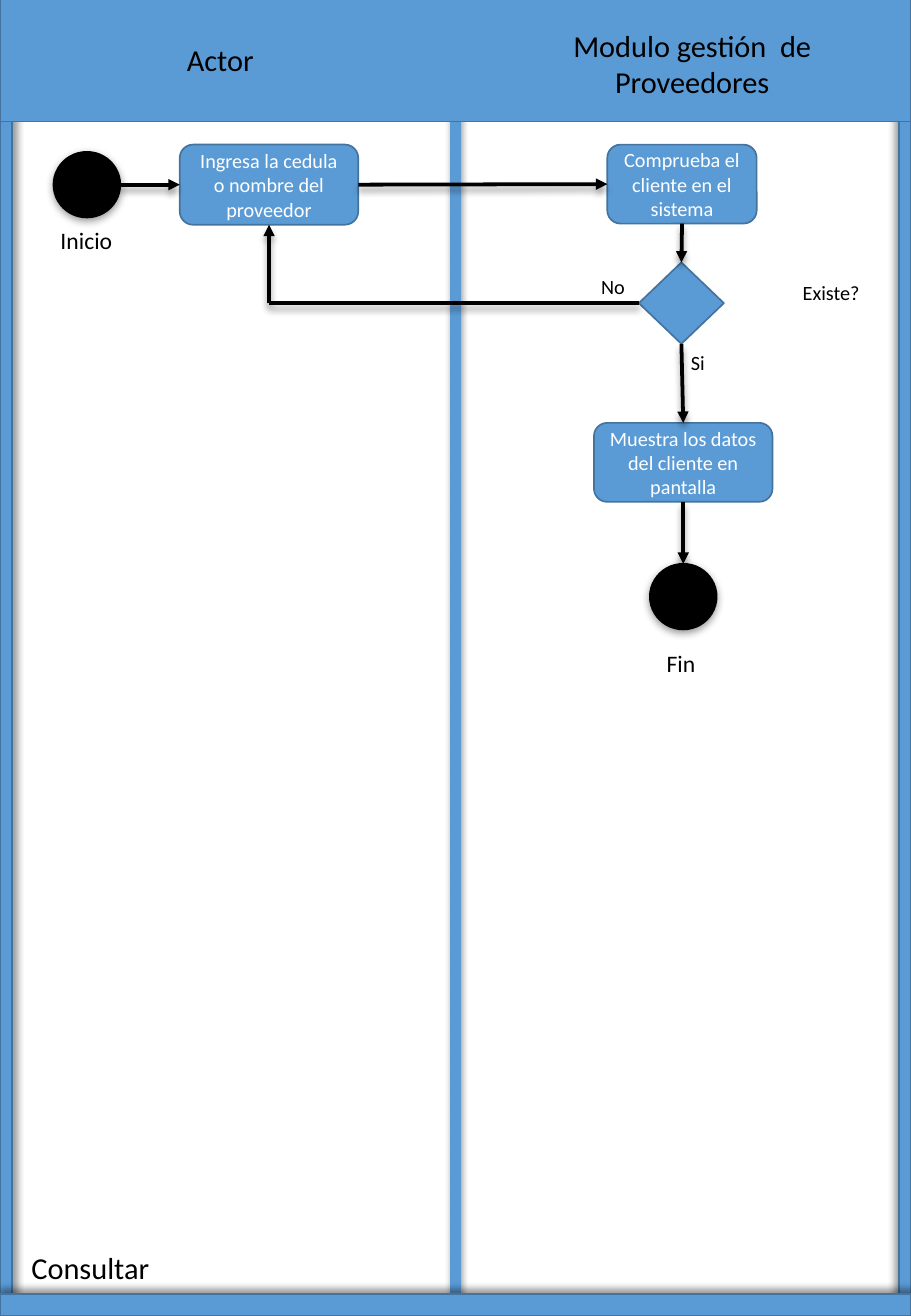
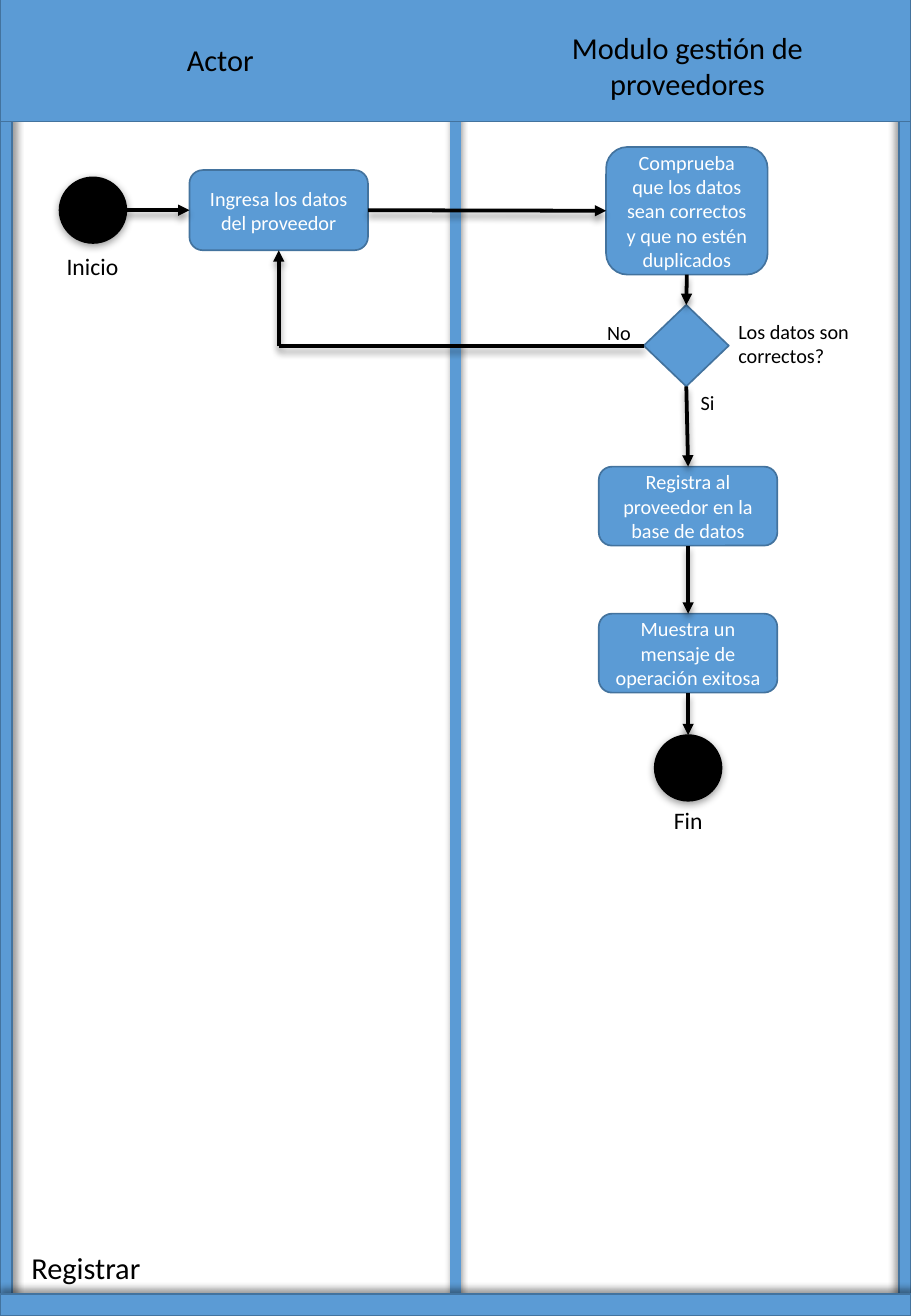
from dataclasses import dataclass
from itertools import pairwise
from typing import Any, NamedTuple, Optional

from lxml import etree
from pptx import Presentation
from pptx import util as u
from pptx.dml import color
from pptx.enum import shapes, text
from pptx.oxml import ns


# Look shared by both slides
@dataclass(frozen=True)
class Theme:
    font: str = "Calibri"
    blue: str = "5B9BD5"
    outline: str = "43739E"
    black: str = "000000"
    white: str = "FFFFFF"
    heading: float = 18
    terminal: float = 14
    body: float = 12
    thin: float = 1
    flow_line: float = 2.25
    divider: float = 6


THEME = Theme()
WIDTH, HEIGHT = 7.5, 10.83
TERMINAL_W, TERMINAL_H = 0.55, 0.54
DECISION_W, DECISION_H = 0.7, 0.67
STEP_W, STEP_H = 1.47, 0.65
ENTRY_H = 0.66
TOP, LEFT, BOTTOM, RIGHT = range(4)  # connection sites


class Box(NamedTuple):
    left: float
    top: float
    width: float
    height: float


class Port(NamedTuple):
    x: int
    y: int
    shape: Optional[Any] = None
    site: int = TOP


class Label(NamedTuple):
    words: str
    box: Box


class Band(NamedTuple):
    box: Box
    shadow_angle: Optional[int]


@dataclass(frozen=True)
class Flow:
    module: Label
    start_left: float
    entry: Label
    check: Label
    decision_left: float
    decision_top: float
    question: Label
    no: Label
    yes: Label
    steps_left: float
    steps: tuple[tuple[str, float], ...]  # words and top
    end_top: float
    end: Label
    name: Label


BANDS = (
    Band(Box(0, 0, 0.1, HEIGHT), 45),
    Band(Box(WIDTH - 0.1, 0, 0.1, HEIGHT), 225),
    Band(Box(0, HEIGHT - 0.18, WIDTH, 0.18), 270),
    Band(Box(0, -0.02, WIDTH, 1.02), None),
)
ACTOR = Label("Actor", Box(1.44, 0.29, 0.76, 0.4))

FLOWS = (
    Flow(
        module=Label("Modulo gestión  de Proveedores", Box(4.5, 0.17, 2.4, 0.71)),
        start_left=0.44,
        entry=Label("Ingresa la cedula o nombre del proveedor",
                    Box(1.48, 1.19, STEP_W, ENTRY_H)),
        check=Label("Comprueba el cliente en el sistema", Box(5, 1.19, 1.23, 0.65)),
        decision_left=5.26,
        decision_top=2.16,
        question=Label("Existe?", Box(6.51, 2.26, 0.68, 0.3)),
        no=Label("No", Box(4.85, 2.21, 0.4, 0.3)),
        yes=Label("Si", Box(5.59, 2.83, 0.32, 0.3)),
        steps_left=4.89,
        steps=(("Muestra los datos del cliente en pantalla", 3.48),),
        end_top=4.64,
        end=Label("Fin", Box(5.39, 5.29, 0.44, 0.34)),
        name=Label("Consultar", Box(0.16, 10.23, 1.18, 0.4)),
    ),
    Flow(
        module=Label("Modulo gestión de proveedores", Box(4.51, 0.19, 2.3, 0.71)),
        start_left=0.49,
        entry=Label("Ingresa los datos del proveedor",
                    Box(1.56, 1.4, STEP_W, ENTRY_H)),
        check=Label("Comprueba que los datos sean correctos y que no estén duplicados",
                    Box(4.99, 1.21, 1.33, 1.05)),
        decision_left=5.3,
        decision_top=2.51,
        question=Label("Los datos son\ncorrectos?", Box(5.98, 2.58, 1.16, 0.5)),
        no=Label("No", Box(4.9, 2.59, 0.4, 0.3)),
        yes=Label("Si", Box(5.67, 3.16, 0.32, 0.3)),
        steps_left=4.93,
        steps=(("Registra al proveedor en la base de datos", 3.84),
               ("Muestra un mensaje de operación exitosa", 5.05)),
        end_top=6.05,
        end=Label("Fin", Box(5.45, 6.58, 0.44, 0.34)),
        name=Label("Registrar", Box(0.16, 10.23, 1.11, 0.4)),
    ),
)


# Formatting helpers
def rgb(value: str) -> color.RGBColor:
    return color.RGBColor.from_string(value)


def inches(box: Box) -> list[int]:
    return [u.Inches(length) for length in box]


def cast_shadow(item: Any, angle: int, blur: float = 4, distance: float = 3) -> None:
    properties = item._element.spPr
    effects = properties.find(ns.qn("a:effectLst"))
    if effects is None:
        effects = etree.SubElement(properties, ns.qn("a:effectLst"))
    shadow = etree.SubElement(
        effects, ns.qn("a:outerShdw"), blurRad=str(u.Pt(blur)),
        dist=str(u.Pt(distance)), dir=str(angle * 60000), rotWithShape="0")
    tint = etree.SubElement(shadow, ns.qn("a:srgbClr"), val=THEME.black)
    etree.SubElement(tint, ns.qn("a:alpha"), val="40000")


def write(frame: Any, words: str, *, size: float, ink: str = THEME.black,
          centred: bool = False, wrap: bool = True) -> None:
    frame.word_wrap = wrap
    frame.text = words
    for paragraph in frame.paragraphs:
        paragraph.alignment = text.PP_ALIGN.CENTER if centred else text.PP_ALIGN.LEFT
        font = paragraph.font
        font.name, font.size = THEME.font, u.Pt(size)
        font.color.rgb = rgb(ink)


# Drawing helpers
def add_label(slide: Any, label: Label, *, size: float = THEME.body,
              centred: bool = False, wrap: bool = False) -> None:
    frame = slide.shapes.add_textbox(*inches(label.box)).text_frame
    write(frame, label.words, size=size, centred=centred, wrap=wrap)
    frame.auto_size = text.MSO_AUTO_SIZE.SHAPE_TO_FIT_TEXT


def add_node(slide: Any, preset: shapes.MSO_SHAPE, box: Box, *,
             fill: str = THEME.blue, outline: str = THEME.outline) -> Any:
    node = slide.shapes.add_shape(preset, *inches(box))
    node.shadow.inherit = False
    node.fill.solid()
    node.fill.fore_color.rgb = rgb(fill)
    node.line.color.rgb = rgb(outline)
    node.line.width = u.Pt(THEME.thin)
    return node


def add_step(slide: Any, step: Label) -> Any:
    node = add_node(slide, shapes.MSO_SHAPE.ROUNDED_RECTANGLE, step.box)
    write(node.text_frame, step.words, size=THEME.body, ink=THEME.white, centred=True)
    node.text_frame.vertical_anchor = text.MSO_ANCHOR.MIDDLE
    return node


def add_terminal(slide: Any, left: float, top: float) -> Any:
    node = add_node(slide, shapes.MSO_SHAPE.OVAL, Box(left, top, TERMINAL_W, TERMINAL_H),
                    fill=THEME.black, outline=THEME.black)
    cast_shadow(node, 90, blur=5, distance=1.5)
    return node


def port(node: Any, site: int) -> Port:
    across = {LEFT: 0, RIGHT: 2}.get(site, 1)
    down = {TOP: 0, BOTTOM: 2}.get(site, 1)
    return Port(node.left + node.width * across // 2,
                node.top + node.height * down // 2, node, site)


def add_line(slide: Any, start: Port, end: Port, *, ink: str = THEME.black,
             weight: float = THEME.flow_line, arrow: bool = True,
             shadow_angle: int = 90) -> None:
    line = slide.shapes.add_connector(
        shapes.MSO_CONNECTOR.STRAIGHT, start.x, start.y, end.x, end.y)
    if start.shape is not None:
        line.begin_connect(start.shape, start.site)
    if end.shape is not None:
        line.end_connect(end.shape, end.site)
    line.line.color.rgb = rgb(ink)
    line.line.width = u.Pt(weight)
    if arrow:
        etree.SubElement(line.line._get_or_add_ln(), ns.qn("a:tailEnd"), type="triangle")
    cast_shadow(line, shadow_angle)


# Swimlane frame
def draw_lanes(slide: Any, flow: Flow) -> None:
    middle = u.Inches(WIDTH / 2)
    add_line(slide, Port(middle, 0), Port(middle, u.Inches(HEIGHT)), ink=THEME.blue,
             weight=THEME.divider, arrow=False, shadow_angle=270)
    for band in BANDS:
        strip = add_node(slide, shapes.MSO_SHAPE.RECTANGLE, band.box)
        if band.shadow_angle is not None:
            cast_shadow(strip, band.shadow_angle)
    add_label(slide, ACTOR, size=THEME.heading)
    add_label(slide, flow.module, size=THEME.heading, centred=True, wrap=True)
    add_label(slide, flow.name, size=THEME.heading)


# Activities, decision and arrows
def draw_flow(slide: Any, flow: Flow) -> None:
    start_top = flow.entry.box.top + (ENTRY_H - TERMINAL_H) / 2
    start = add_terminal(slide, flow.start_left, start_top)
    entry = add_step(slide, flow.entry)
    check = add_step(slide, flow.check)
    decision = add_node(
        slide, shapes.MSO_SHAPE.FLOWCHART_DECISION,
        Box(flow.decision_left, flow.decision_top, DECISION_W, DECISION_H))
    steps = [add_step(slide, Label(words, Box(flow.steps_left, top, STEP_W, STEP_H)))
             for words, top in flow.steps]
    end = add_terminal(slide, flow.steps_left + (STEP_W - TERMINAL_W) / 2, flow.end_top)

    # Main path; an oval numbers its sites differently, so its right side is not glued
    add_line(slide, port(start, RIGHT)._replace(shape=None), port(entry, LEFT))
    add_line(slide, port(entry, RIGHT), port(check, LEFT))
    for upper, lower in pairwise([check, decision, *steps, end]):
        add_line(slide, port(upper, BOTTOM), port(lower, TOP))

    # Way back to the entry
    corner = Port(port(entry, BOTTOM).x, port(decision, LEFT).y)
    add_line(slide, port(decision, LEFT), corner, arrow=False)
    add_line(slide, corner, port(entry, BOTTOM))

    for label in (flow.question, flow.no, flow.yes):
        add_label(slide, label)
    start_label = Label("Inicio", Box(flow.start_left - 0.04, start_top + 0.56, 0.63, 0.34))
    for label in (start_label, flow.end):
        add_label(slide, label, size=THEME.terminal)


def main() -> None:
    deck = Presentation()
    deck.slide_width, deck.slide_height = u.Inches(WIDTH), u.Inches(HEIGHT)
    for flow in FLOWS:
        slide = deck.slides.add_slide(deck.slide_layouts[6])
        draw_lanes(slide, flow)
        draw_flow(slide, flow)
    deck.save("out.pptx")


if __name__ == "__main__":
    main()
